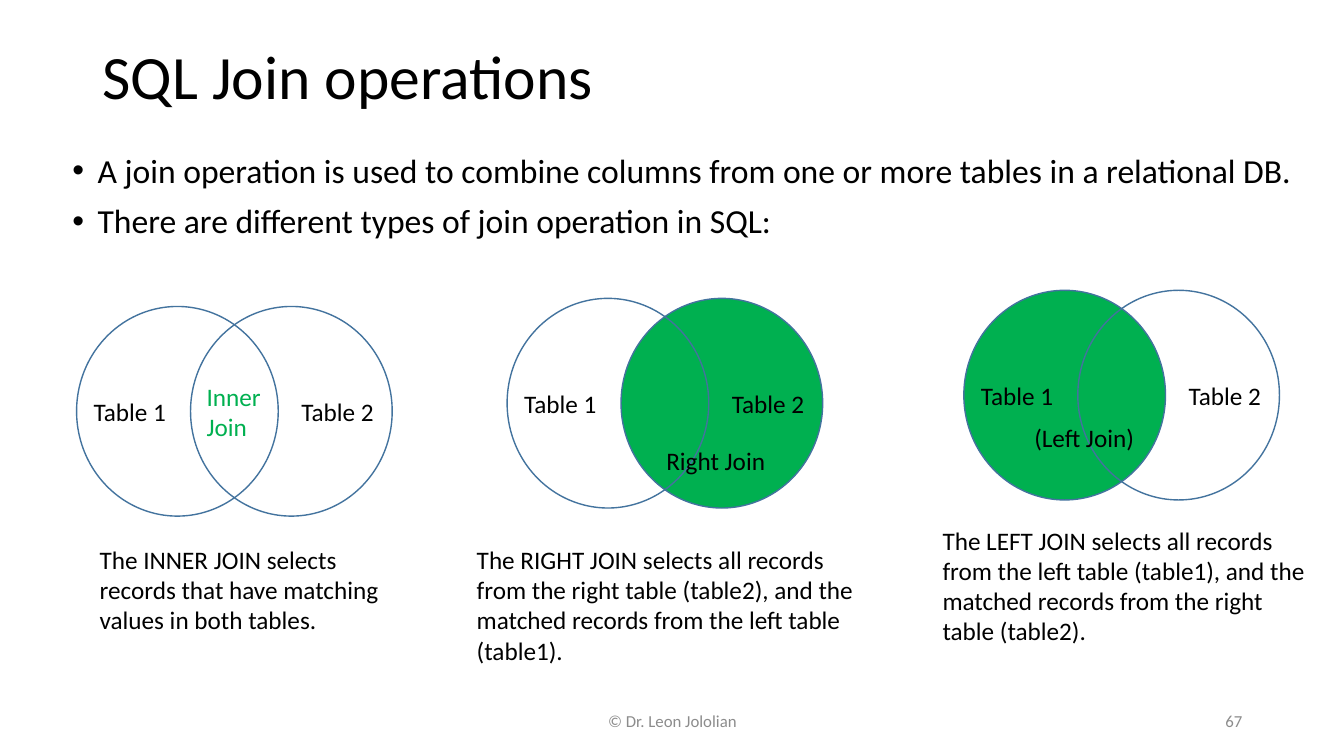
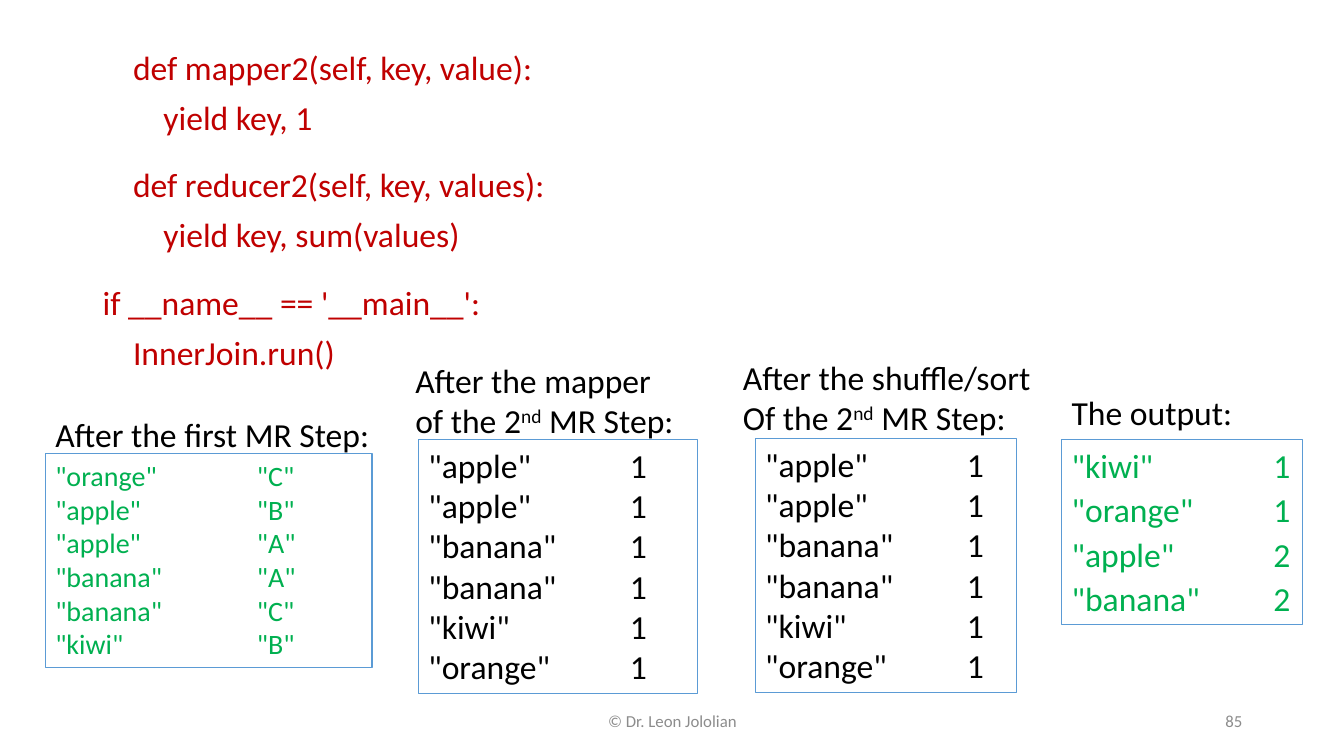
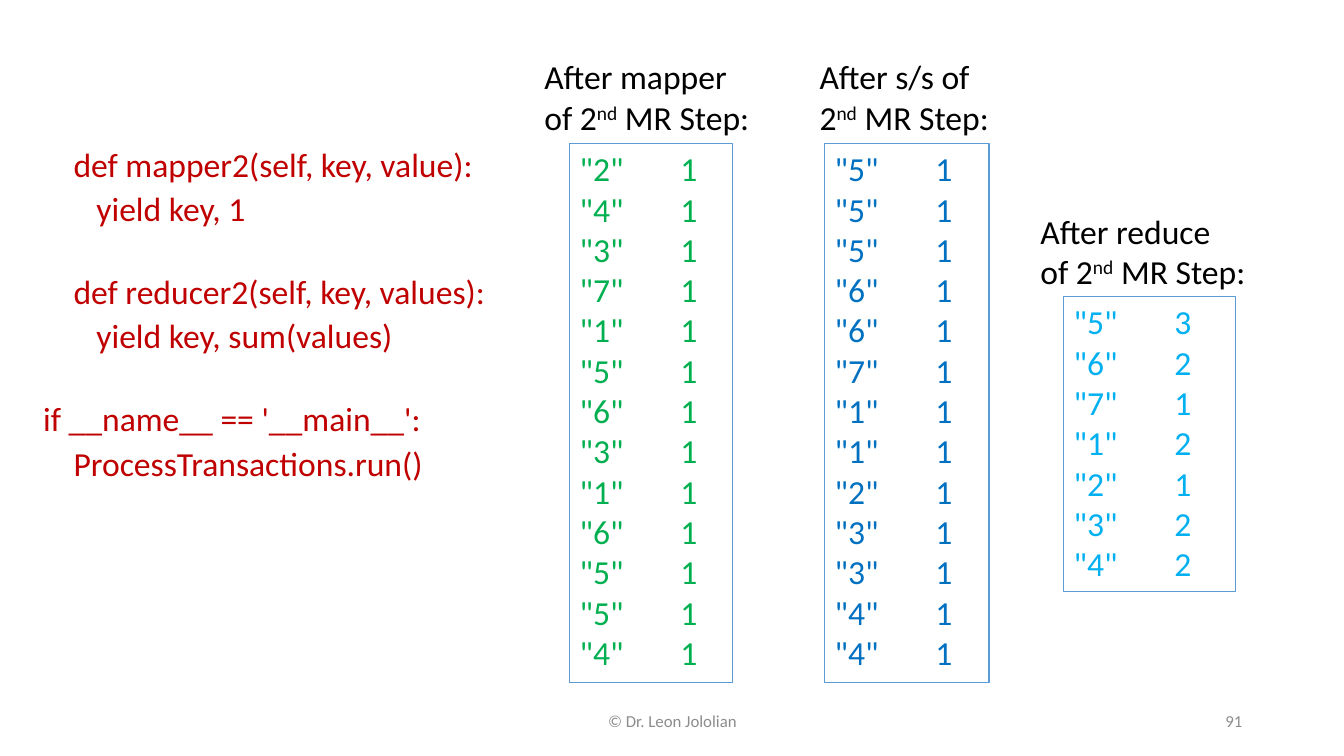
from lxml.etree import SubElement
from pptx import Presentation
from pptx.dml.color import RGBColor
from pptx.enum.shapes import MSO_SHAPE as SHAPE
from pptx.enum.text import MSO_ANCHOR as ANCHOR, PP_ALIGN as ALIGN
from pptx.oxml.ns import qn
from pptx.util import Emu, Pt

# Shared look: 100 px to the inch
SCALE = 9144
FONT = "Calibri"
BLACK, GREY, RED = "000000", "8C8C8C", "C00000"
GREEN, BLUE, SKY = "00B050", "0070C0", "00B0F0"
CIRCLE_LINE, PANEL_LINE = "43739E", "5B9BD5"
FOOTER = "© Dr. Leon Jololian"

# Joins slide
TITLE = "SQL Join operations"
BULLETS = [
    "A join operation is used to combine columns from one or more tables in a relational DB.",
    "There are different types of join operation in SQL:",
]
CIRCLE_W, CIRCLE_H, CIRCLE_STEP = 200, 208, 113
VENNS = [  # corner, filled circle, join label with its offset and colour, caption with its box
    dict(at=(76, 304), filled=None, join=["Inner", "Join"], join_box=(119, 69, 75, 71), color=GREEN,
         caption="The INNER JOIN selects records that have matching values in both tables.",
         caption_box=(89, 535, 304, 101)),
    dict(at=(503, 296), filled=1, join=["Right Join"], join_box=(148, 141, 119, 40), color=BLACK,
         caption="The RIGHT JOIN selects all records from the right table (table2), "
                 "and the matched records from the left table (table1).",
         caption_box=(463, 535, 411, 131)),
    dict(at=(956, 288), filled=0, join=["(Left Join)"], join_box=(60, 126, 121, 40), color=BLACK,
         caption="The LEFT JOIN selects all records from the left table (table1), "
                 "and the matched records from the right table (table2).",
         caption_box=(925, 516, 384, 131)),
]

# Code slides: code as (space before, line), panels as heading, key-value rows and format
FRUIT_ONES = [(k, 1) for k in ("apple", "apple", "banana", "banana", "kiwi", "orange")]
CODE_SLIDES = [
    dict(
        number=85, code_box=(92, 46, 470, 341), tab=200,
        code=[
            (0, "    def mapper2(self, key, value):"),
            (10, "        yield key, 1"),
            (22, "    def reducer2(self, key, values):"),
            (10, "        yield key, sum(values)"),
            (22, "if __name__ == '__main__':"),
            (10, "    InnerJoin.run()"),
        ],
        panels=[
            dict(head=["After the first MR Step:"], head_box=(45, 406, 335, 50),
                 rows=[("orange", '"C"'), ("apple", '"B"'), ("apple", '"A"'),
                       ("banana", '"A"'), ("banana", '"C"'), ("kiwi", '"B"')],
                 box=(45, 450, 324, 212), color=GREEN, size=20),
            dict(head=["After the mapper", "of the 2^nd^ MR Step:"], head_box=(402, 352, 282, 91),
                 rows=FRUIT_ONES, box=(415, 436, 277, 252), color=BLACK),
            dict(head=["After the shuffle/sort", "Of the 2^nd^ MR Step:"], head_box=(727, 349, 310, 91),
                 rows=FRUIT_ONES, box=(749, 435, 259, 252), color=BLACK),
            dict(head=["The output:"], head_box=(1053, 384, 181, 50),
                 rows=[("kiwi", 1), ("orange", 1), ("apple", 2), ("banana", 2)],
                 box=(1053, 436, 239, 184), color=GREEN, gap=3),
        ],
    ),
    dict(
        number=91, code_box=(33, 142, 460, 387), tab=100,
        code=[
            (0, "    def mapper2(self, key, value):"),
            (6, "       yield key, 1"),
            (33, "    def reducer2(self, key, values):"),
            (6, "       yield key, sum(values)"),
            (33, "if __name__ == '__main__':"),
            (6, "    ProcessTransactions.run()"),
        ],
        panels=[
            dict(head=["After mapper", "of 2^nd^ MR Step:"], head_box=(530, 51, 228, 91),
                 rows=[(k, 1) for k in "2437156316554"], box=(565, 142, 162, 535), color=GREEN),
            dict(head=["After s/s of", "2^nd^ MR Step:"], head_box=(803, 51, 193, 91),
                 rows=[(k, 1) for k in "5556671123344"], box=(818, 142, 163, 535), color=BLUE),
            dict(head=["After reduce", "of 2^nd^ MR Step:"], head_box=(1022, 204, 228, 91),
                 rows=list(zip("5671234", (3, 2, 1, 2, 1, 2, 2))), box=(1055, 294, 170, 293), color=SKY),
        ],
    ),
]


def px(n):
    return Emu(n * SCALE)


def rgb(value):
    return RGBColor.from_string(value)


def shape(s, kind, box, line, width, fill=None):
    sp = s.shapes.add_shape(kind, *map(px, box))
    sp.shadow.inherit = False
    if fill:
        sp.fill.solid()
        sp.fill.fore_color.rgb = rgb(fill)
    else:
        sp.fill.background()
    sp.line.color.rgb = rgb(line)
    sp.line.width = Pt(width)
    return sp


def text(s, box, lines, size=24, color=BLACK, align=ALIGN.LEFT, anchor=ANCHOR.TOP, wrap=True,
         spacing=1.0, gaps=None, bullet=None, tab=None, border=None):
    """Text box, or a bordered rectangle; ^x^ in a line marks a superscript."""
    if border:
        sp = shape(s, SHAPE.RECTANGLE, box, border, 0.75)
    else:
        sp = s.shapes.add_textbox(*map(px, box))
    tf = sp.text_frame
    tf.word_wrap, tf.vertical_anchor = wrap, anchor
    for i, line in enumerate(lines):
        p = tf.paragraphs[0] if i == 0 else tf.add_paragraph()
        pPr = p._p.get_or_add_pPr()
        if bullet:
            pPr.set("marL", str(px(25)))
            pPr.set("indent", str(px(-25)))
            SubElement(pPr, qn("a:buFont"), typeface="Arial")
            SubElement(pPr, qn("a:buChar"), char=bullet)
        if tab:
            stops = SubElement(pPr, qn("a:tabLst"))
            SubElement(stops, qn("a:tab"), pos=str(px(tab)), algn="l")
        p.alignment, p.line_spacing = align, spacing
        if gaps and i:
            p.space_before = Pt(gaps[i])
        for j, part in enumerate(line.split("^")):
            r = p.add_run()
            r.text = part
            r.font.name, r.font.size = FONT, Pt(size)
            r.font.color.rgb = rgb(color)
            if j % 2:
                r._r.get_or_add_rPr().set("baseline", "30000")
    return sp


def new_slide(prs, number):
    s = prs.slides.add_slide(prs.slide_layouts[6])
    small = dict(size=12, color=GREY, anchor=ANCHOR.MIDDLE)
    text(s, (442, 695, 450, 40), [FOOTER], align=ALIGN.CENTER, **small)
    text(s, (942, 695, 300, 40), [str(number)], align=ALIGN.RIGHT, **small)
    return s


def venn(s, at, filled, join, join_box, color, caption, caption_box):
    x, y = at
    # The filled circle goes first so the other outline stays visible
    for i in sorted((0, 1), key=lambda n: n != filled):
        box = (x + i * CIRCLE_STEP, y, CIRCLE_W, CIRCLE_H)
        shape(s, SHAPE.OVAL, box, CIRCLE_LINE, 1, GREEN if i == filled else None)
    for label, dx in (("Table 1", 7), ("Table 2", 213)):
        text(s, (x + dx, y + 84, 93, 40), [label], size=18, wrap=False)
    dx, dy, w, h = join_box
    text(s, (x + dx, y + dy, w, h), join, size=18, color=color, wrap=False)
    text(s, caption_box, [caption], size=18)


def panel(s, tab, head, head_box, rows, box, color, size=24, gap=0):
    lines = [f'"{key}"\t{value}' for key, value in rows]
    text(s, box, lines, size=size, color=color, gaps=[gap] * len(lines), tab=tab, border=PANEL_LINE)
    text(s, head_box, head, wrap=False)


def main():
    prs = Presentation()
    prs.slide_width, prs.slide_height = px(1333), px(750)

    # Join types
    s = new_slide(prs, 67)
    text(s, (92, 40, 1150, 77), [TITLE], size=44, anchor=ANCHOR.MIDDLE, spacing=0.9)
    text(s, (62, 148, 1230, 110), BULLETS, spacing=0.9, gaps=[0, 10], bullet="•")
    for v in VENNS:
        venn(s, **v)

    # Code with the data after each step
    for c in CODE_SLIDES:
        s = new_slide(prs, c["number"])
        gaps, code = zip(*c["code"])
        text(s, c["code_box"], code, color=RED, spacing=0.9, gaps=gaps)
        for item in c["panels"]:
            panel(s, c["tab"], **item)

    prs.save("out.pptx")


if __name__ == "__main__":
    main()
